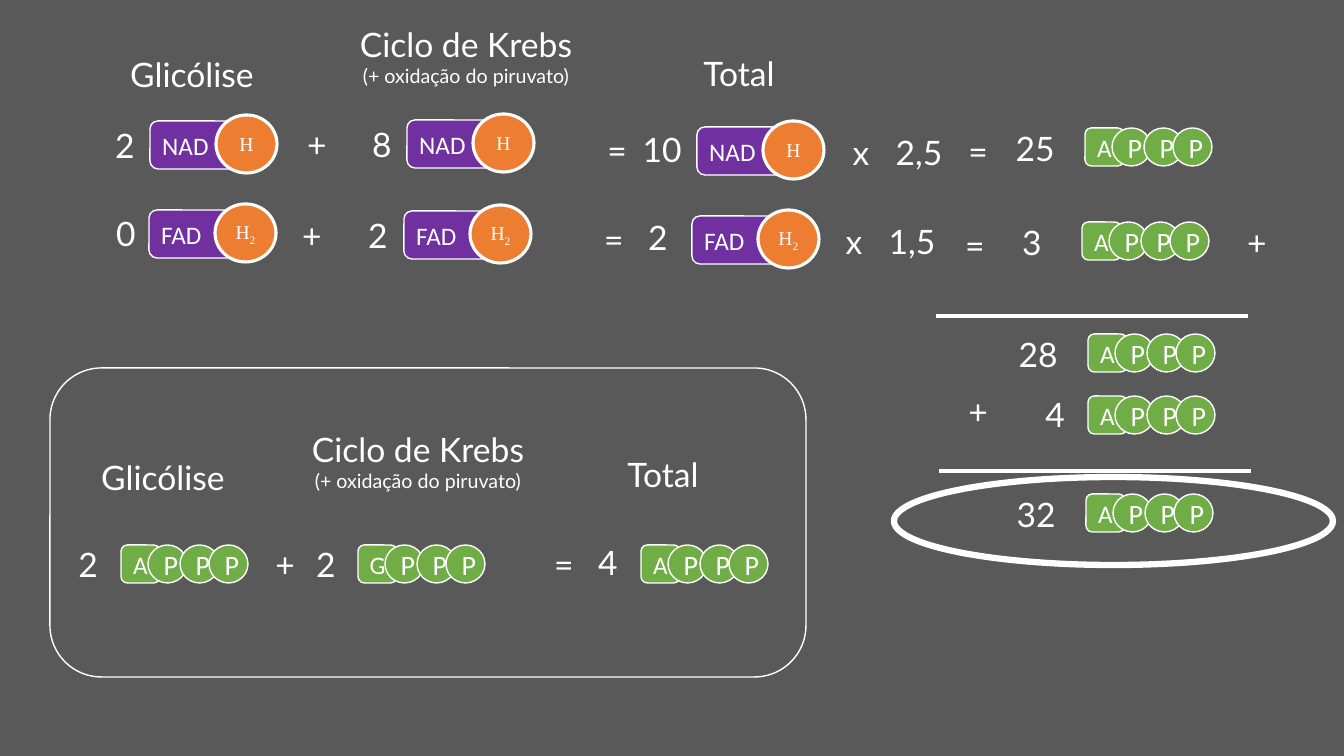
"""Build the slide that adds up the ATP yield of glycolysis and the Krebs cycle."""
from lxml import etree
from pptx import Presentation
from pptx import util as u
from pptx.dml.color import RGBColor
from pptx.enum import shapes, text
from pptx.oxml.ns import qn

PX = 914400 / 100.8
WHITE, GREY, PURPLE, ORANGE, GREEN = "FFFFFF", "595959", "7030A0", "ED7D31", "70AD47"
ROUND, OVAL = shapes.MSO_SHAPE.ROUNDED_RECTANGLE, shapes.MSO_SHAPE.OVAL
HEADINGS = [
    ("Glicólise", 192, 49), ("Ciclo de Krebs", 466, 19), ("Total", 739, 48),
    ("Glicólise", 163, 452), ("Ciclo de Krebs", 418, 424), ("Total", 663, 449),
]
NOTES = {"Ciclo de Krebs": "(+ oxidação do piruvato)"}
TERMS = [
    ("2", 125, 120), ("+", 317, 119), ("8", 382, 119), ("=", 617, 125), ("10", 662, 124),
    ("x", 861, 127), ("2,5", 919, 127), ("=", 978, 126), ("25", 1035, 123),
    ("0", 126, 208), ("+", 312, 210), ("2", 378, 210), ("=", 614, 214), ("2", 658, 212),
    ("x", 854, 216), ("1,5", 912, 216), ("=", 975, 220), ("3", 1032, 217), ("+", 1257, 217),
    ("28", 1038, 329), ("+", 978, 386), ("4", 1055, 389), ("32", 1036, 489),
    ("2", 88, 539), ("+", 285, 539), ("2", 326, 539), ("=", 564, 539), ("4", 608, 537),
]
CARRIERS = [
    ("NAD", 150, 121), ("NAD", 407, 120), ("NAD", 697, 127),
    ("FAD", 149, 210), ("FAD", 404, 211), ("FAD", 692, 216),
]
HYDROGEN = {"NAD": "", "FAD": "2"}
PHOSPHATES = [
    ("A", 1085, 128), ("A", 1082, 222), ("A", 1088, 334), ("A", 1088, 396), ("A", 1086, 494),
    ("A", 121, 545), ("G", 358, 545), ("A", 641, 545),
]
PHOSPHATE_OFFSETS = (27, 59, 88)
SUM_LINES = [(936, 1248, 316), (939, 1251, 471)]


def px(length):
    return u.Emu(round(length * PX))


def color(value):
    return RGBColor.from_string(value)


def add_run(paragraph, words, size, font):
    run = paragraph.add_run()
    run.text = words
    run.font.size, run.font.name = u.Pt(size), font
    run.font.color.rgb = color(WHITE)
    return run


def add_label(slide, words, center, top, width, note=None):
    box = slide.shapes.add_textbox(px(center - width / 2), px(top), px(width), px(75 if note else 50))
    frame = box.text_frame
    frame.word_wrap = True
    paragraph = frame.paragraphs[0]
    paragraph.alignment = text.PP_ALIGN.CENTER
    add_run(paragraph, words, 24, "Lato")
    if note:
        paragraph = frame.add_paragraph()
        paragraph.alignment = text.PP_ALIGN.CENTER
        add_run(paragraph, note, 14, "Lato")


def add_outline(parent, preset, left, top, width, height, line_width, fill=None):
    shape = parent.shapes.add_shape(preset, px(left), px(top), px(width), px(height))
    shape.shadow.inherit = False
    if fill:
        shape.fill.solid()
        shape.fill.fore_color.rgb = color(fill)
    else:
        shape.fill.background()
    shape.line.color.rgb = color(WHITE)
    shape.line.width = u.Pt(line_width)
    return shape


def write_in(shape, words, size, font="Calibri", align=text.PP_ALIGN.CENTER):
    shape.text_frame.vertical_anchor = text.MSO_ANCHOR.MIDDLE
    paragraph = shape.text_frame.paragraphs[0]
    paragraph.alignment = align
    add_run(paragraph, words, size, font)
    return paragraph


def add_carrier(slide, name, left, top):
    group = slide.shapes.add_group_shape()
    body = add_outline(group, ROUND, left, top, 110, 48, 1, PURPLE)
    write_in(body, name, 18, align=text.PP_ALIGN.LEFT)
    hydrogen = add_outline(group, OVAL, left + 66, top - 6, 61, 58, 2.25, ORANGE)
    paragraph = write_in(hydrogen, "H", 14, "Times New Roman")
    if HYDROGEN[name]:
        subscript = add_run(paragraph, HYDROGEN[name], 14, "Times New Roman")
        subscript.font._element.set("baseline", "-25000")


def add_triphosphate(slide, base, left, top):
    group = slide.shapes.add_group_shape()
    write_in(add_outline(group, ROUND, left, top, 39, 38, 1, GREEN), base, 18)
    for offset in PHOSPHATE_OFFSETS:
        write_in(add_outline(group, OVAL, left + offset, top, 39, 38, 1, GREEN), "P", 20)


def add_sum_line(slide, start, end, y):
    line = slide.shapes.add_connector(shapes.MSO_CONNECTOR.STRAIGHT, px(start), px(y), px(end), px(y))
    line.line.color.rgb = color(WHITE)
    line.line.width = u.Pt(3)
    etree.SubElement(line._element.spPr, qn("a:effectLst"))


def main():
    presentation = Presentation()
    presentation.slide_width, presentation.slide_height = px(1344), px(756)
    slide = presentation.slides.add_slide(presentation.slide_layouts[6])
    slide.background.fill.solid()
    slide.background.fill.fore_color.rgb = color(GREY)
    add_outline(slide, ROUND, 50, 368, 756, 309, 1)
    for words, center, top in HEADINGS:
        add_label(slide, words, center, top, 320 if words in NOTES else 192, NOTES.get(words))
    for words, center, top in TERMS:
        add_label(slide, words, center, top, 76)
    for carrier in CARRIERS:
        add_carrier(slide, *carrier)
    for triphosphate in PHOSPHATES:
        add_triphosphate(slide, *triphosphate)
    for sum_line in SUM_LINES:
        add_sum_line(slide, *sum_line)
    add_outline(slide, OVAL, 894, 477, 439, 88, 4.5)
    presentation.save("out.pptx")


if __name__ == "__main__":
    main()
